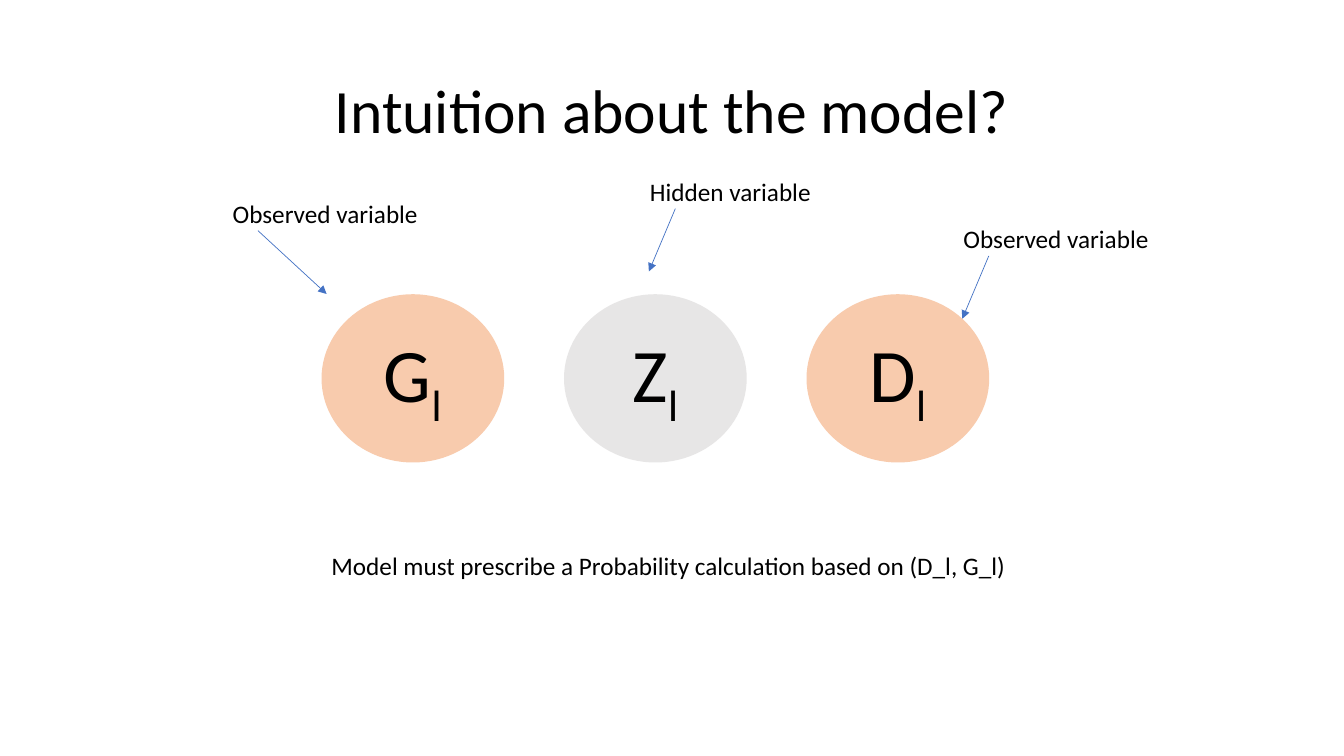
from dataclasses import dataclass

from lxml import etree
from pptx import Presentation
from pptx.dml.color import RGBColor
from pptx.enum import shapes, text
from pptx.oxml import ns
from pptx.util import Pt


@dataclass(frozen=True)
class Theme:
    font: str = "Calibri"
    ink: str = "000000"
    observed: str = "F8CBAD"
    hidden: str = "E7E6E6"
    arrow: str = "4472C4"
    title_size: float = 44
    node_size: float = 54
    label_size: float = 18


THEME = Theme()
NODE_LEFT, NODE_TOP, NODE_PITCH = 229.7, 210.2, 173.2
NODE_WIDTH, NODE_HEIGHT = 130.5, 120.2
LABEL_HEIGHT = 29
ARROW_START = (25.2, 26.6)  # from the label's top left corner


def add_run(paragraph, words, size, outlined=False, subscript=False):
    run = paragraph.add_run()
    run.text = words
    run.font.name = THEME.font
    run.font.size = Pt(size)
    run.font.color.rgb = RGBColor.from_string(THEME.ink)
    properties = run.font._element
    if subscript:
        properties.set("baseline", "-25000")
    if outlined:
        outline = etree.Element(ns.qn("a:ln"), w=str(Pt(0.75)))
        fill = etree.SubElement(outline, ns.qn("a:solidFill"))
        etree.SubElement(fill, ns.qn("a:srgbClr"), val=THEME.ink)
        properties.insert(0, outline)


def add_text(parent, words, left, top, width, height, *, size=THEME.label_size,
             align=text.PP_ALIGN.LEFT, anchor=text.MSO_ANCHOR.TOP,
             wrap=False, line_spacing=None):
    box = parent.shapes.add_textbox(Pt(left), Pt(top), Pt(width), Pt(height))
    frame = box.text_frame
    frame.word_wrap = wrap
    frame.vertical_anchor = anchor
    if not wrap:
        frame.auto_size = text.MSO_AUTO_SIZE.SHAPE_TO_FIT_TEXT
    paragraph = frame.paragraphs[0]
    paragraph.alignment = align
    paragraph.line_spacing = line_spacing
    add_run(paragraph, words, size)


def add_node(slide, column, letter, color):
    node = slide.shapes.add_shape(
        shapes.MSO_SHAPE.OVAL, Pt(NODE_LEFT + column * NODE_PITCH),
        Pt(NODE_TOP), Pt(NODE_WIDTH), Pt(NODE_HEIGHT))
    node.shadow.inherit = False
    node.fill.solid()
    node.fill.fore_color.rgb = RGBColor.from_string(color)
    node.line.fill.background()
    node.text_frame.vertical_anchor = text.MSO_ANCHOR.MIDDLE
    paragraph = node.text_frame.paragraphs[0]
    paragraph.alignment = text.PP_ALIGN.CENTER
    add_run(paragraph, letter, THEME.node_size, outlined=True)
    add_run(paragraph, "l", THEME.node_size, outlined=True, subscript=True)


def add_arrow(parent, start, end):
    arrow = parent.shapes.add_connector(
        shapes.MSO_CONNECTOR.STRAIGHT, *(Pt(value) for value in (*start, *end)))
    arrow.line.color.rgb = RGBColor.from_string(THEME.arrow)
    arrow.line.width = Pt(0.5)
    etree.SubElement(arrow.line._get_or_add_ln(), ns.qn("a:tailEnd"), type="triangle")
    etree.SubElement(arrow._element.spPr, ns.qn("a:effectLst"))


def add_callout(slide, words, left, top, width, reach):
    """Label with an arrow that spans reach = (across, down)."""
    group = slide.shapes.add_group_shape()
    add_text(group, words, left, top, width, LABEL_HEIGHT)
    start = (left + ARROW_START[0], top + ARROW_START[1])
    add_arrow(group, start, (start[0] + reach[0], start[1] + reach[1]))


def main():
    presentation = Presentation()
    presentation.slide_width, presentation.slide_height = Pt(960), Pt(540)
    slide = presentation.slides.add_slide(presentation.slide_layouts[6])

    # Title
    add_text(slide, "Intuition about the model?", 66, 28.75, 828, 104.4,
             size=THEME.title_size, align=text.PP_ALIGN.CENTER,
             anchor=text.MSO_ANCHOR.MIDDLE, wrap=True, line_spacing=0.9)

    # Variables of the model
    for column, (letter, color) in enumerate([
            ("G", THEME.observed), ("Z", THEME.hidden), ("D", THEME.observed)]):
        add_node(slide, column, letter, color)

    # Callouts
    add_callout(slide, "Observed variable", 681.1, 156.2, 148.3, (-18.9, 44.9))
    add_callout(slide, "Observed variable", 159.1, 138.2, 148.3, (49, 45.2))
    add_callout(slide, "Hidden variable", 457.2, 122.4, 131, (-18.9, 44.9))

    # Conclusion
    add_text(slide, "Model must prescribe a Probability calculation based on (D_l, G_l)",
             229.7, 389.5, 506.2, LABEL_HEIGHT)

    presentation.save("out.pptx")


if __name__ == "__main__":
    main()
